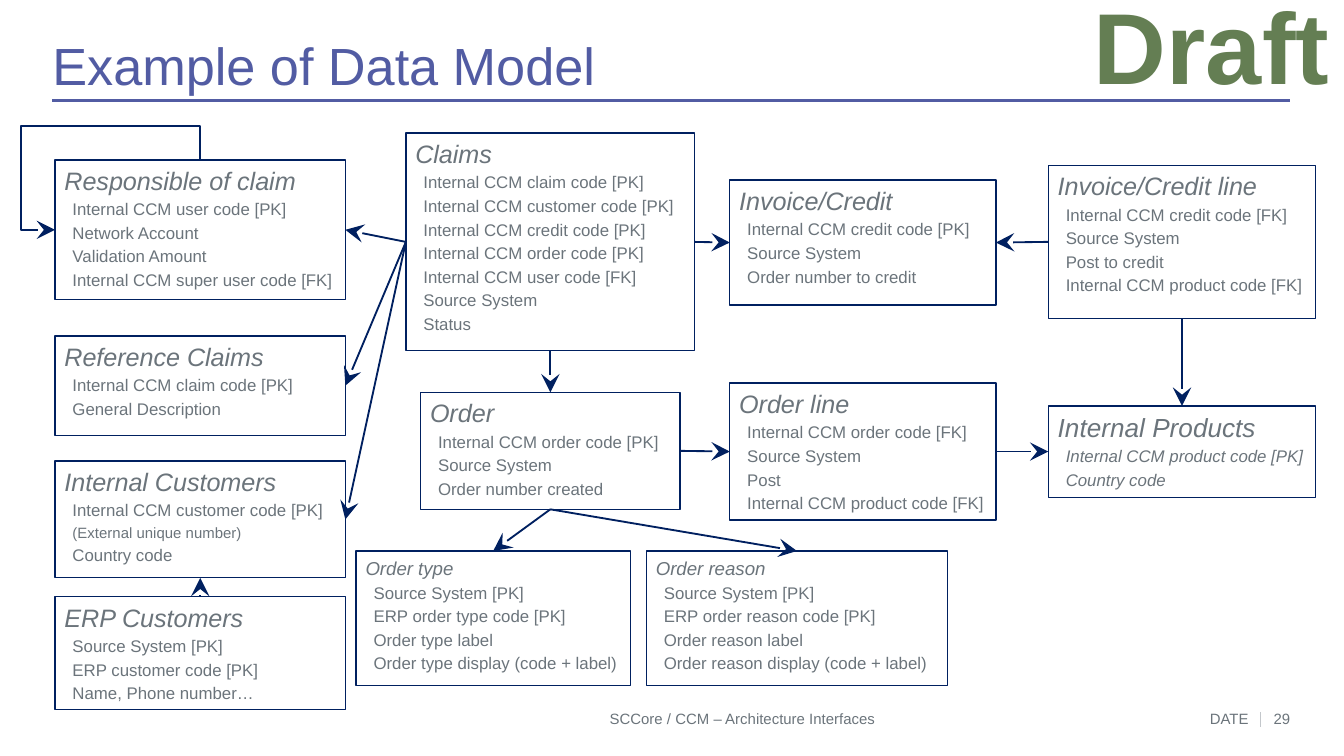
from dataclasses import dataclass
from typing import Any

from lxml.etree import SubElement
from pptx import Presentation
from pptx.dml.color import RGBColor
from pptx.enum.shapes import MSO_CONNECTOR as Link, MSO_SHAPE as Shape
from pptx.enum.text import MSO_ANCHOR as Anchor, MSO_AUTO_SIZE as AutoSize, PP_ALIGN as Align
from pptx.oxml.ns import qn
from pptx.util import Inches, Pt


@dataclass(frozen=True)
class Theme:
    font: str = "Arial"
    title: str = "525CA3"
    text: str = "6B747B"
    navy: str = "002060"
    divider: str = "C3C7CB"
    stamp: str = "647E53"
    title_size: float = 28
    stamp_size: float = 54
    heading_size: float = 13.5
    field_size: float = 9
    small_size: float = 8
    gap_share: float = 0.2  # space before a field, as a share of its type size


@dataclass(frozen=True)
class Entity:
    name: str
    left: float
    top: float
    width: float
    height: float
    fields: tuple[str, ...]
    heading_size: float = Theme.heading_size
    italic_fields: bool = False


THEME = Theme()
TOP, LEFT, BOTTOM, RIGHT = range(4)  # connection sites of a rectangle
SIDE_LEFT, SIDE_WIDTH = 0.41, 2.16
LINES_LEFT, LINES_WIDTH = 7.8, 1.99

ENTITIES = (
    Entity("Responsible of claim", SIDE_LEFT, 1.19, SIDE_WIDTH, 1.04, (
        "Internal CCM user code [PK]", "Network Account", "Validation Amount",
        "Internal CCM super user code [FK]")),
    Entity("Reference Claims", SIDE_LEFT, 2.5, SIDE_WIDTH, 0.74, (
        "Internal CCM claim code [PK]", "General Description")),
    Entity("Internal Customers", SIDE_LEFT, 3.43, SIDE_WIDTH, 0.87, (
        "Internal CCM customer code [PK]", "(External unique number)", "Country code")),
    Entity("ERP Customers", SIDE_LEFT, 4.44, SIDE_WIDTH, 0.84, (
        "Source System [PK]", "ERP customer code [PK]", "Name, Phone number…")),
    Entity("Claims", 3.02, 0.99, 2.15, 1.62, (
        "Internal CCM claim code [PK]", "Internal CCM customer code [PK]",
        "Internal CCM credit code [PK]", "Internal CCM order code [PK]",
        "Internal CCM user code [FK]", "Source System", "Status")),
    Entity("Order", 3.13, 2.92, 1.93, 0.87, (
        "Internal CCM order code [PK]", "Source System", "Order number created")),
    Entity("Order type", 2.65, 4.1, 2.04, 1, (
        "Source System [PK]", "ERP order type code [PK]", "Order type label",
        "Order type display (code + label)"), heading_size=10),
    Entity("Order reason", 4.81, 4.1, 2.24, 1, (
        "Source System [PK]", "ERP order reason code [PK]", "Order reason label",
        "Order reason display (code + label)"), heading_size=10),
    Entity("Invoice/Credit", 5.43, 1.34, 1.98, 0.93, (
        "Internal CCM credit code [PK]", "Source System", "Order number to credit")),
    Entity("Order line", 5.43, 2.85, 1.98, 1.02, (
        "Internal CCM order code [FK]", "Source System", "Post",
        "Internal CCM product code [FK]")),
    Entity("Invoice/Credit line", LINES_LEFT, 1.23, LINES_WIDTH, 1.14, (
        "Internal CCM credit code [FK]", "Source System", "Post to credit",
        "Internal CCM product code [FK]")),
    Entity("Internal Products", LINES_LEFT, 3.02, LINES_WIDTH, 0.68, (
        "Internal CCM product code [PK]", "Country code"),
        heading_size=14, italic_fields=True),
)

RELATIONS = (
    ("Claims", LEFT, "Responsible of claim", RIGHT),
    ("Claims", LEFT, "Reference Claims", RIGHT),
    ("Claims", LEFT, "Internal Customers", RIGHT),
    ("Claims", RIGHT, "Invoice/Credit", LEFT),
    ("Claims", BOTTOM, "Order", TOP),
    ("Invoice/Credit line", LEFT, "Invoice/Credit", RIGHT),
    ("Invoice/Credit line", BOTTOM, "Internal Products", TOP),
    ("Order", RIGHT, "Order line", LEFT),
    ("Order line", RIGHT, "Internal Products", LEFT),
    ("Order", BOTTOM, "Order type", TOP),
    ("Order", BOTTOM, "Order reason", TOP),
    ("ERP Customers", TOP, "Internal Customers", BOTTOM),
)


def write(para: Any, text: str, *, size: float, color: str = THEME.text,
          bold: bool = False, italic: bool = False, align: Any = Align.LEFT) -> None:
    para.alignment = align
    span = para.add_run()
    span.text = text
    font = span.font
    font.name, font.size, font.bold, font.italic = THEME.font, Pt(size), bold, italic
    font.color.rgb = RGBColor.from_string(color)


def set_margins(frame: Any, side: float = 0, top: float = 0, bottom: float = 0) -> None:
    frame.margin_left = frame.margin_right = Inches(side)
    frame.margin_top, frame.margin_bottom = Inches(top), Inches(bottom)


def add_label(slide: Any, text: str, left: float, top: float, width: float,
              height: float, **style: Any) -> Any:
    box = slide.shapes.add_textbox(*map(Inches, (left, top, width, height)))
    box.text_frame.word_wrap = True
    set_margins(box.text_frame)
    write(box.text_frame.paragraphs[0], text, **style)
    return box


def add_entity(slide: Any, entity: Entity) -> Any:
    place = (entity.left, entity.top, entity.width, entity.height)
    box = slide.shapes.add_shape(Shape.RECTANGLE, *map(Inches, place))
    box.shadow.inherit = False
    box.fill.background()
    box.line.color.rgb = RGBColor.from_string(THEME.navy)
    box.line.width = Pt(0.75)
    frame = box.text_frame
    frame.word_wrap = True
    frame.vertical_anchor = Anchor.TOP
    set_margins(frame, side=0.07, top=0.04, bottom=0.04)
    write(frame.paragraphs[0], entity.name, size=entity.heading_size, italic=True)
    for field in entity.fields:
        size = THEME.small_size if field.startswith("(") else THEME.field_size
        para = frame.add_paragraph()
        para.space_before = Pt(THEME.gap_share * size)
        para._p.get_or_add_pPr().set("marL", str(Inches(0.06)))
        write(para, field, size=size, italic=entity.italic_fields)
    return box


def add_line(slide: Any, start: tuple[float, float], end: tuple[float, float], *,
             color: str = THEME.navy, width: float = 1, kind: Any = Link.STRAIGHT,
             arrow: bool = False) -> Any:
    line = slide.shapes.add_connector(kind, *map(Inches, (*start, *end)))
    line.line.color.rgb = RGBColor.from_string(color)
    line.line.width = Pt(width)
    if arrow:
        SubElement(line.line._get_or_add_ln(), qn("a:tailEnd"), type="stealth", w="lg", len="lg")
    SubElement(line._element.spPr, qn("a:effectLst"))
    return line


def add_self_relation(slide: Any) -> None:
    """Loop from the top of the responsible box round to its left side."""
    loop = add_line(slide, (1.21, 1.99), (0.69, 0.91), kind=Link.ELBOW, arrow=True)
    properties = loop._element.spPr
    properties.find(qn("a:xfrm")).set("rot", str(270 * 60000))
    geometry = properties.find(qn("a:prstGeom"))
    geometry.set("prst", "bentConnector4")
    guides = geometry.find(qn("a:avLst"))
    if guides is None:
        guides = SubElement(geometry, qn("a:avLst"))
    for name, value in (("adj1", -48000), ("adj2", 123200)):
        SubElement(guides, qn("a:gd"), name=name, fmla=f"val {value}")


def main() -> None:
    deck = Presentation()
    deck.slide_width = Inches(10)
    deck.slide_height = deck.slide_width * 9 // 16
    slide = deck.slides.add_slide(deck.slide_layouts[5])

    # Title and rule
    title = slide.shapes.title
    title.left, title.top, title.width, title.height = map(Inches, (0.39, 0.3, 9.21, 0.42))
    frame = title.text_frame
    frame.auto_size = AutoSize.NONE
    frame.vertical_anchor = Anchor.MIDDLE
    set_margins(frame)
    frame.paragraphs[0].line_spacing = 0.9
    write(frame.paragraphs[0], "Example of Data Model", size=THEME.title_size, color=THEME.title)
    add_line(slide, (0.39, 0.75), (9.6, 0.75), color=THEME.title, width=1.5)

    # Entities and their relations
    boxes = {entity.name: add_entity(slide, entity) for entity in ENTITIES}
    for source, source_site, target, target_site in RELATIONS:
        arrow = add_line(slide, (0, 0), (0, 0), arrow=True)
        arrow.begin_connect(boxes[source], source_site)
        arrow.end_connect(boxes[target], target_site)
    add_self_relation(slide)

    # Status stamp
    stamp = add_label(slide, "Draft", 8.03, -0.17, 1.97, 1.01, size=THEME.stamp_size,
                      color=THEME.stamp, bold=True, align=Align.CENTER)
    stamp.text_frame.word_wrap = False
    set_margins(stamp.text_frame, side=0.1, top=0.05, bottom=0.05)

    # Footer
    for text, left, width, align in (
            ("SCCore / CCM – Architecture Interfaces", 2.42, 6.21, Align.CENTER),
            ("DATE", 8.44, 0.85, Align.RIGHT),
            ("29", 9.26, 0.34, Align.RIGHT)):
        add_label(slide, text, left, 5.28, width, 0.13, size=THEME.small_size, align=align)
    add_line(slide, (9.38, 5.3), (9.38, 5.41), color=THEME.divider, width=0.5)

    deck.save("out.pptx")


if __name__ == "__main__":
    main()
